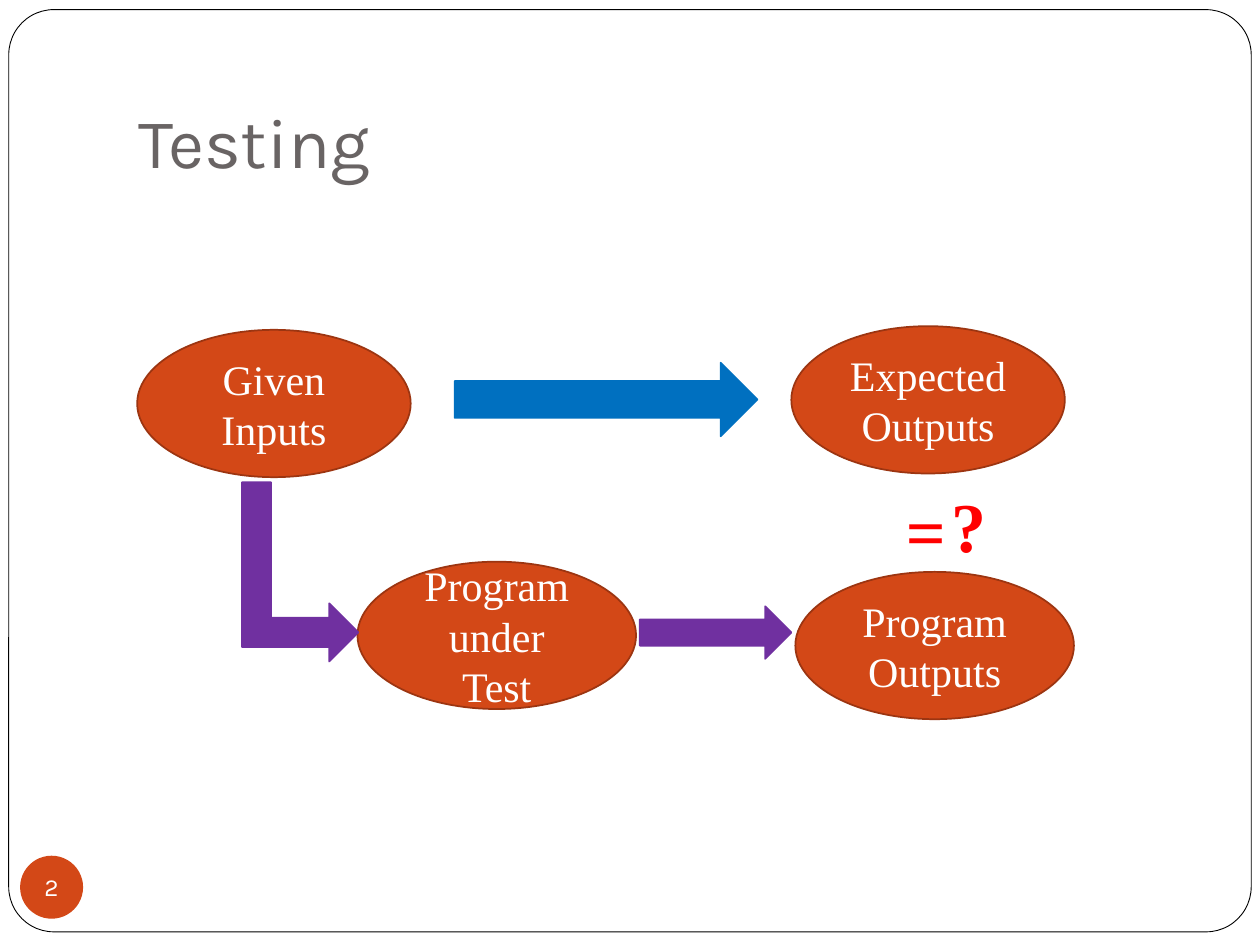
from dataclasses import dataclass

from pptx import Presentation
from pptx.dml.color import RGBColor
from pptx.enum.shapes import MSO_SHAPE
from pptx.enum.text import MSO_ANCHOR, MSO_AUTO_SIZE, PP_ALIGN
from pptx.util import Pt

ROUNDED = MSO_SHAPE.ROUNDED_RECTANGLE
ELLIPSE = MSO_SHAPE.OVAL
RIGHT_ARROW = MSO_SHAPE.RIGHT_ARROW
BENT_ARROW = MSO_SHAPE.BENT_UP_ARROW
MIDDLE = MSO_ANCHOR.MIDDLE
BOTTOM = MSO_ANCHOR.BOTTOM
CENTER = PP_ALIGN.CENTER
LEFT = PP_ALIGN.LEFT
NO_AUTOFIT = MSO_AUTO_SIZE.NONE
TITLE_ONLY = 5

COLORS = {
    "white": "FFFFFF",
    "black": "000000",
    "title": "696464",
    "orange": "D34817",
    "rust": "9C3511",
    "blue": "0070C0",
    "purple": "7030A0",
    "red": "FF0000",
}
HEADING_FONT = "Karla"
BODY_FONT = "Times New Roman"


@dataclass(frozen=True)
class Box:
    left: float
    top: float
    width: float
    height: float

    def lengths(self):
        return Pt(self.left), Pt(self.top), Pt(self.width), Pt(self.height)


@dataclass(frozen=True)
class Stage:
    lines: tuple[str, ...]
    box: Box


@dataclass(frozen=True)
class Arrow:
    kind: MSO_SHAPE
    box: Box
    color: str
    rotation: float = 0


@dataclass(frozen=True)
class Mark:
    text: str
    box: Box


STAGES = (
    Stage(("Given Inputs",), Box(78.4, 188.5, 156.3, 84.2)),
    Stage(("Expected Outputs",), Box(452.2, 186.4, 156.3, 84.2)),
    Stage(("Program", "under Test"), Box(204.3, 321, 159.2, 84.2)),
    Stage(("Program", "Outputs"), Box(454.5, 326.8, 159.2, 84.2)),
)
ARROWS = (
    Arrow(RIGHT_ARROW, Box(259.8, 207.3, 173, 42), "blue"),
    Arrow(BENT_ARROW, Box(120.3, 293.6, 102.4, 66.4), "purple", 90),
    Arrow(RIGHT_ARROW, Box(365.6, 346.5, 86.6, 30), "purple"),
)
MARKS = (
    Mark("=", Box(510.5, 275, 41.8, 55.4)),
    Mark("?", Box(536.4, 272.2, 29.5, 55.4)),
)


def rgb(name: str) -> RGBColor:
    return RGBColor.from_string(COLORS[name])


def write(frame, lines: tuple[str, ...], font: str, size: float, color: str,
          alignment=CENTER, bold: bool = False) -> None:
    paragraph = frame.paragraphs[0]
    paragraph.alignment = alignment
    for index, line in enumerate(lines):
        if index:
            paragraph.add_line_break()
        run = paragraph.add_run()
        run.text = line
        run.font.name = font
        run.font.size = Pt(size)
        run.font.bold = bold
        run.font.color.rgb = rgb(color)


def set_margins(frame, left: float, top: float, right: float, bottom: float) -> None:
    frame.margin_left, frame.margin_top = Pt(left), Pt(top)
    frame.margin_right, frame.margin_bottom = Pt(right), Pt(bottom)


def add_figure(slide, kind: MSO_SHAPE, box: Box, fill: str,
               line: str | None = None, line_width: float = 1):
    shape = slide.shapes.add_shape(kind, *box.lengths())
    shape.shadow.inherit = False
    shape.fill.solid()
    shape.fill.fore_color.rgb = rgb(fill)
    if line is None:
        shape.line.fill.background()
    else:
        shape.line.color.rgb = rgb(line)
        shape.line.width = Pt(line_width)
    return shape


def add_title(slide, text: str, box: Box) -> None:
    title = slide.shapes.title
    title.left, title.top, title.width, title.height = box.lengths()
    frame = title.text_frame
    frame.auto_size = NO_AUTOFIT
    frame.vertical_anchor = BOTTOM
    set_margins(frame, 7.2, 3.6, 7.2, 7.2)
    write(frame, (text,), HEADING_FONT, 40, "title", LEFT)


def add_panel(slide, box: Box) -> None:
    panel = add_figure(slide, ROUNDED, box, "white", "black", 0.5)
    panel.adjustments[0] = 0.049
    slide.shapes.title.element.addprevious(panel.element)


def add_page_number(slide, text: str, box: Box) -> None:
    badge = add_figure(slide, ELLIPSE, box, "orange")
    frame = badge.text_frame
    frame.word_wrap = False
    frame.vertical_anchor = MIDDLE
    set_margins(frame, 0, 0, 0, 0)
    write(frame, (text,), HEADING_FONT, 14, "white")


def add_stage(slide, stage: Stage) -> None:
    shape = add_figure(slide, ELLIPSE, stage.box, "orange", "rust")
    frame = shape.text_frame
    frame.word_wrap = True
    frame.vertical_anchor = MIDDLE
    write(frame, stage.lines, BODY_FONT, 24, "white")


def add_arrow(slide, arrow: Arrow) -> None:
    shape = add_figure(slide, arrow.kind, arrow.box, arrow.color, arrow.color)
    shape.rotation = arrow.rotation


def add_mark(slide, mark: Mark) -> None:
    frame = slide.shapes.add_textbox(*mark.box.lengths()).text_frame
    frame.word_wrap = False
    write(frame, (mark.text,), BODY_FONT, 40, "red", LEFT, True)


presentation = Presentation()
presentation.slide_width = Pt(720)
presentation.slide_height = Pt(540)
slide = presentation.slides.add_slide(presentation.slide_layouts[TITLE_ONLY])

add_title(slide, "Testing", Box(72, 21.6, 612, 90))
add_panel(slide, Box(5, 5.5, 710, 527))
add_page_number(slide, "2", Box(11.5, 489, 36, 36))
for stage in STAGES:
    add_stage(slide, stage)
for arrow in ARROWS:
    add_arrow(slide, arrow)
for mark in MARKS:
    add_mark(slide, mark)

presentation.save("out.pptx")
